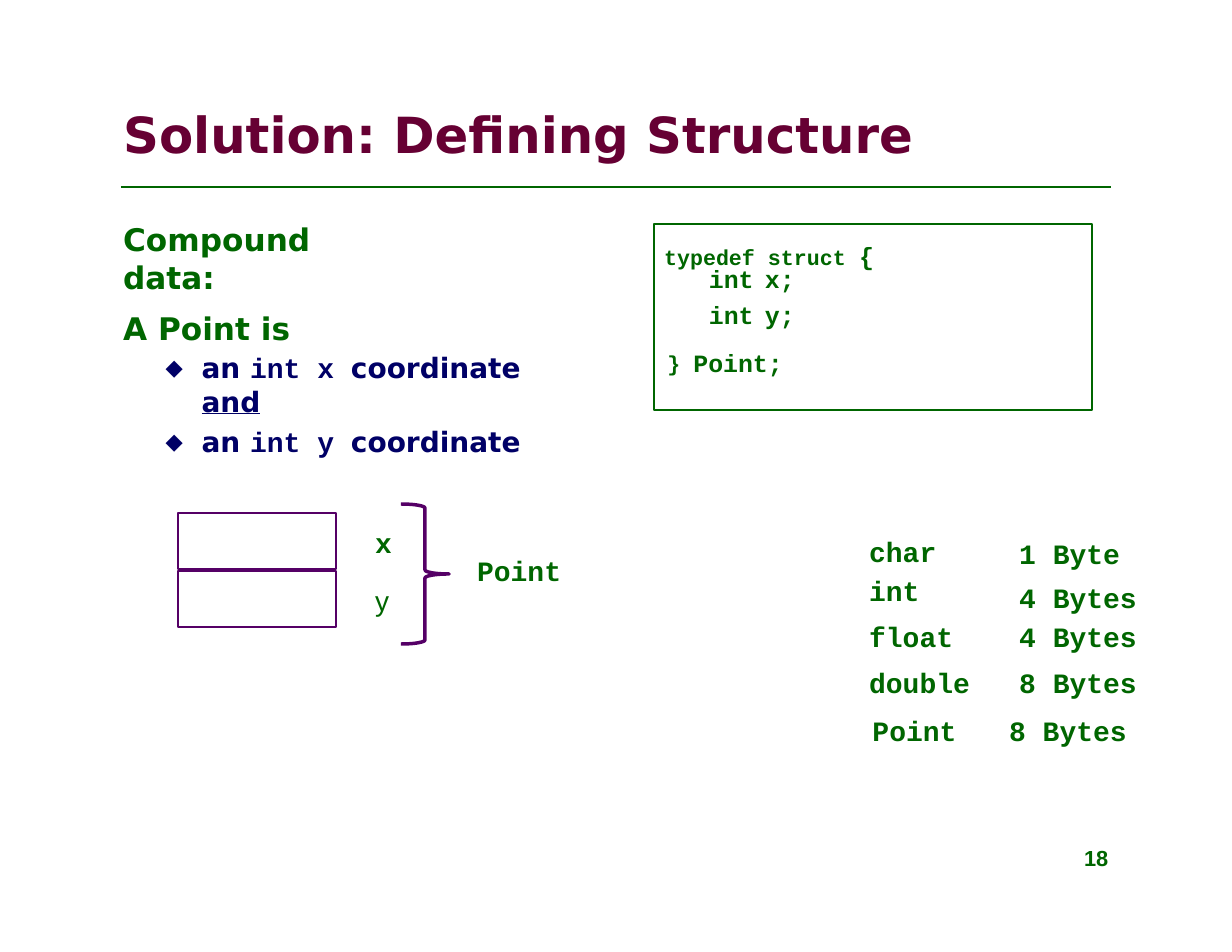
from dataclasses import dataclass, field

from lxml.etree import SubElement
from pptx import Presentation
from pptx.dml.color import RGBColor
from pptx.enum.shapes import MSO_CONNECTOR as Connector, MSO_SHAPE as Shape
from pptx.enum.text import MSO_ANCHOR as Anchor, MSO_AUTO_SIZE as AutoSize, PP_ALIGN as Align
from pptx.oxml.ns import qn
from pptx.util import Inches, Pt

COLORS = {"title": "660033", "body": "006600", "bullet": "000066", "memory": "550066"}
SANS, MONO, PLAIN = "DejaVu Sans", "Courier New", "Arial"


@dataclass
class Span:
    text: str
    size: float = 18
    name: str = MONO
    color: str = "body"
    bold: bool = True
    underline: bool = False
    raised: int = 0


@dataclass
class Para:
    spans: list[Span]
    before: float = 0
    indent: float = 0
    line: float = 1
    bullet: bool = False
    tab: float = 0


@dataclass
class TextBox:
    left: float
    top: float
    width: float
    height: float
    paras: list[Para] = field(default_factory=list)


def color_of(key: str) -> RGBColor:
    return RGBColor.from_string(COLORS[key])


def write_span(para, item: Span) -> None:
    span = para.add_run()
    span.text = item.text
    formats = {"size": Pt(item.size), "name": item.name, "bold": item.bold,
               "underline": item.underline}
    for key, value in formats.items():
        setattr(span.font, key, value)
    span.font.color.rgb = color_of(item.color)
    if item.raised:
        span._r.get_or_add_rPr().set("baseline", str(item.raised * 1000))


def write_para(para, item: Para) -> None:
    formats = {"alignment": Align.LEFT, "space_before": Pt(item.before),
               "line_spacing": item.line}
    for key, value in formats.items():
        setattr(para, key, value)
    properties = para._p.get_or_add_pPr()
    properties.set("marL", str(Inches(item.indent)))
    properties.set("indent", str(Inches(-0.32 if item.bullet else 0)))
    if item.bullet:
        SubElement(properties, qn("a:buSzPct")).set("val", "80000")
        SubElement(properties, qn("a:buFont")).set("typeface", SANS)
        SubElement(properties, qn("a:buChar")).set("char", "◆")
    if item.tab:
        stops = SubElement(properties, qn("a:tabLst"))
        stop = SubElement(stops, qn("a:tab"))
        stop.set("pos", str(Inches(item.tab)))
        stop.set("algn", "l")
    for span in item.spans:
        write_span(para, span)


def fill_box(box, item: TextBox) -> None:
    places = {"left": item.left, "top": item.top, "width": item.width, "height": item.height}
    for key, value in places.items():
        setattr(box, key, Inches(value))
    frame = box.text_frame
    formats = {"margin_left": 0, "margin_right": 0, "margin_top": 0, "margin_bottom": 0,
               "word_wrap": True, "auto_size": AutoSize.NONE, "vertical_anchor": Anchor.TOP}
    for key, value in formats.items():
        setattr(frame, key, value)
    for index, para in enumerate(item.paras):
        write_para(frame.add_paragraph() if index else frame.paragraphs[0], para)


def draw_outline(page, kind, left: float, top: float, width: float, height: float,
                 color: str, weight: float) -> None:
    outline = page.shapes.add_shape(kind, Inches(left), Inches(top), Inches(width), Inches(height))
    outline.shadow.inherit = False
    outline.fill.background()
    outline.line.color.rgb = color_of(color)
    outline.line.width = Pt(weight)


def draw_rule(page, left: float, right: float, top: float) -> None:
    rule = page.shapes.add_connector(Connector.STRAIGHT, Inches(left), Inches(top),
                                     Inches(right), Inches(top))
    rule.line.color.rgb = color_of("body")
    rule.line.width = Pt(1.75)
    SubElement(rule._element.spPr, qn("a:effectLst"))


def coordinate(name: str, before: float, ending: str = "") -> Para:
    spans = [Span("an ", name=SANS, color="bullet"),
             Span(f"int {name} ", color="bullet"),
             Span("coordinate " if ending else "coordinate", name=SANS, color="bullet")]
    if ending:
        spans.append(Span(ending, name=SANS, color="bullet", underline=True))
    return Para(spans, before, 0.7, bullet=True)


def member(name: str, before: float = 0) -> Para:
    return Para([Span(f"int\t{name};", 16)], before, 0.38, tab=1)


TITLE = TextBox(1.1, 0.93, 8.8, 0.6,
                [Para([Span("Solution: Defining Structure", 32, SANS, "title")])])
SIZES = [("1 Byte", 0, 0.1), ("4 Bytes", 6.4, 0.1), ("4 Bytes", 3.6, 0.1),
         ("8 Bytes", 8.3, 0.1), ("8 Bytes", 9.2, 0.01)]
BOXES = [
    TextBox(1.1, 1.97, 2.4, 0.7, [Para([Span("Compound data:", 20, SANS)])]),
    TextBox(1.1, 2.76, 4, 1.4, [
        Para([Span("A Point is", 20, SANS)]),
        coordinate("x", 2.8, "and"),
        coordinate("y", 4.3)]),
    TextBox(5.93, 2.04, 2.4, 0.35, [
        Para([Span("typedef struct ", 24, raised=2), Span("{", 16)])]),
    TextBox(5.95, 2.35, 1.5, 1.05, [
        member("x"),
        member("y", 3.9),
        Para([Span("} ", 24, raised=3), Span("Point;", 16)], 3.8, 0.01)]),
    TextBox(3.35, 4.69, 0.2, 0.85, [
        Para([Span("x")]),
        Para([Span("y", name=PLAIN, bold=False)], 15.6)]),
    TextBox(4.26, 4.94, 0.9, 0.3, [Para([Span("Point")])]),
    TextBox(7.76, 4.73, 0.95, 2, [
        Para([Span("char int")], line=1.15),
        Para([Span("float double")], 0.8, line=1.35),
        Para([Span("Point")], 9.2, 0.03)]),
    TextBox(9, 4.79, 1.25, 1.9, [
        Para([Span(text)], before, indent) for text, before, indent in SIZES]),
    TextBox(9.68, 7.54, 0.3, 0.25, [Para([Span("18", 14, PLAIN)])]),
]


def main() -> None:
    deck = Presentation()
    deck.slide_width, deck.slide_height = Inches(11), Inches(8.5)
    page = deck.slides.add_slide(deck.slide_layouts[5])
    fill_box(page.shapes.title, TITLE)
    draw_rule(page, 1.08, 9.92, 1.67)
    draw_outline(page, Shape.RECTANGLE, 5.84, 2, 3.91, 1.66, "body", 1)
    for row in range(2):
        draw_outline(page, Shape.RECTANGLE, 1.59, 4.58 + 0.52 * row, 1.41, 0.5, "memory", 1)
    draw_outline(page, Shape.RIGHT_BRACE, 3.58, 4.5, 0.43, 1.25, "memory", 2.25)
    for item in BOXES:
        fill_box(page.shapes.add_textbox(0, 0, 0, 0), item)
    deck.save("out.pptx")


if __name__ == "__main__":
    main()
